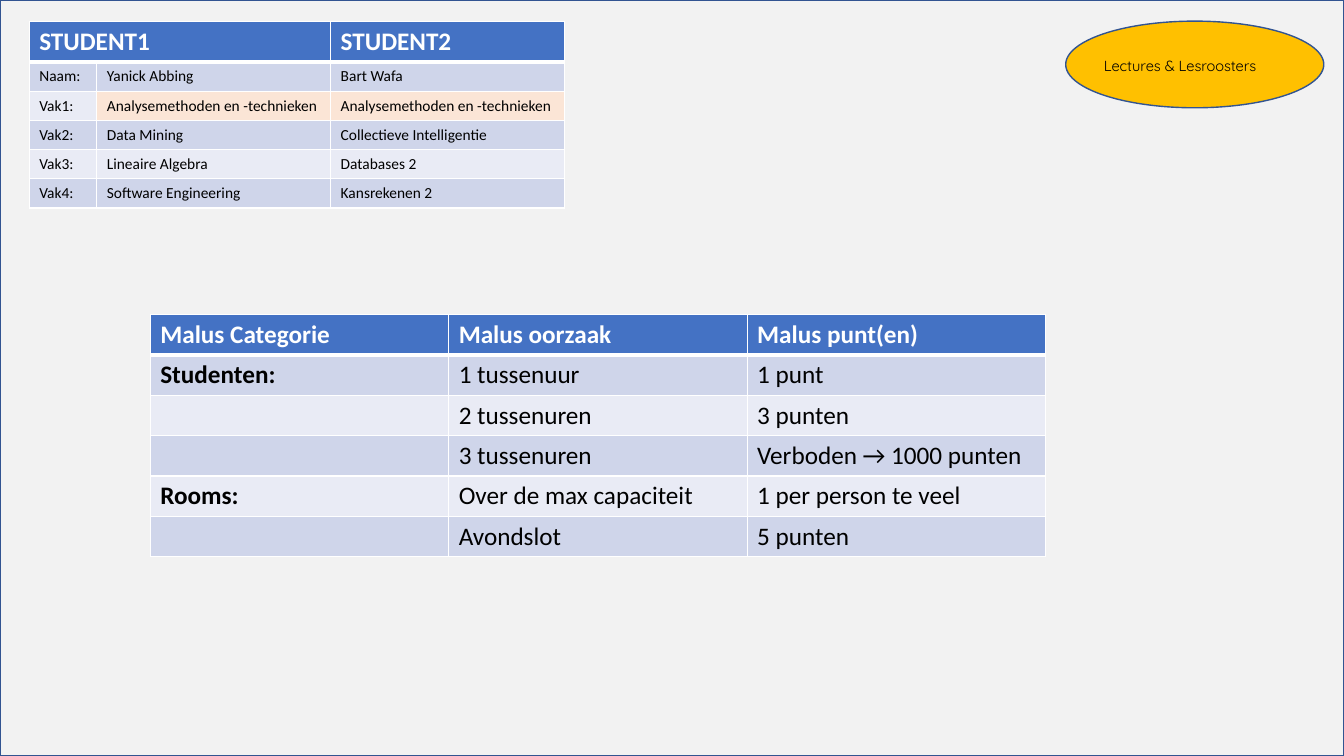
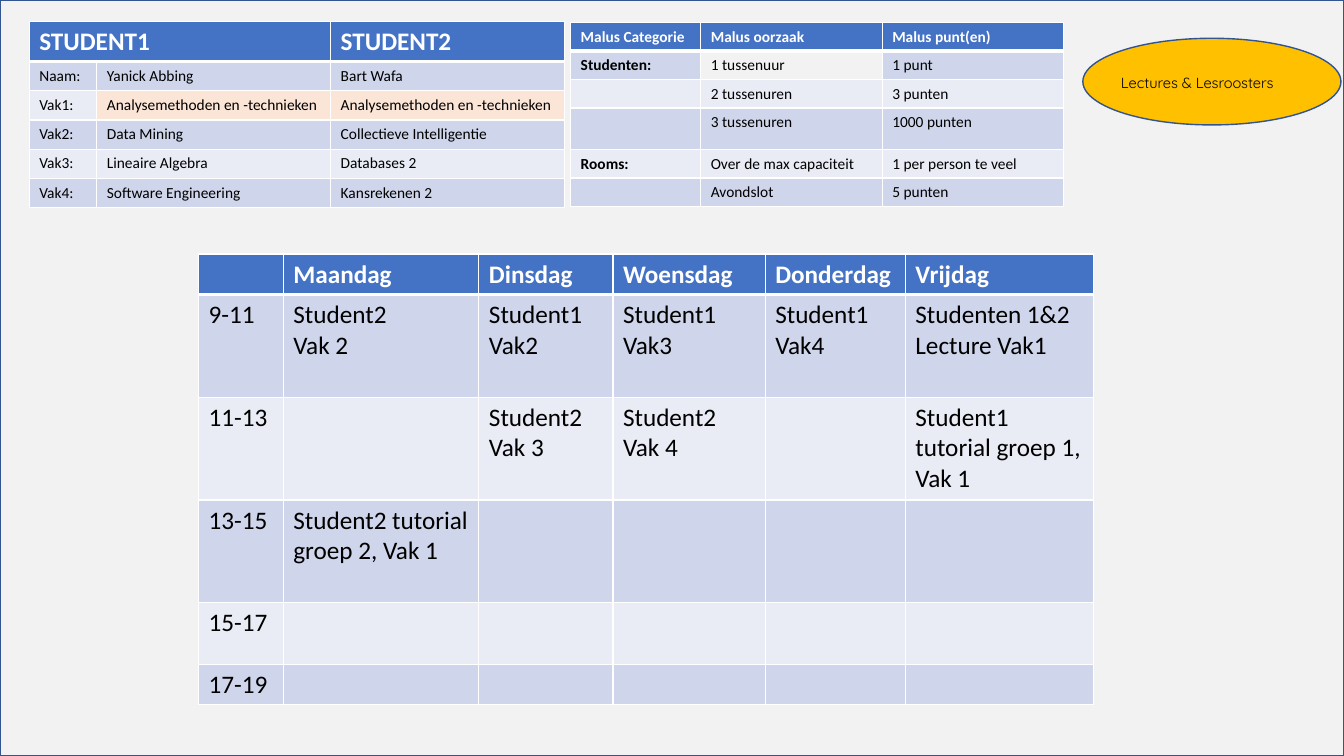
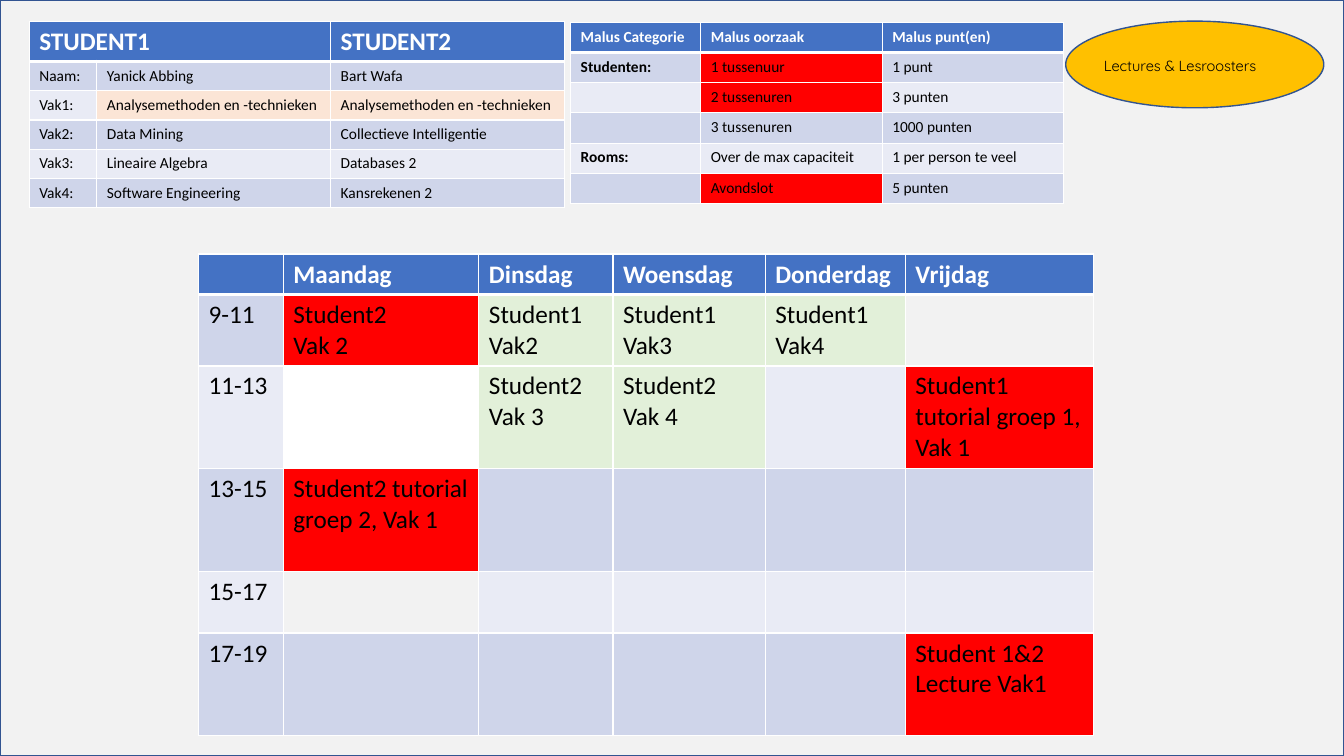
from lxml import etree
from pptx import Presentation
from pptx.dml.color import RGBColor
from pptx.enum.shapes import MSO_SHAPE
from pptx.oxml.ns import qn
from pptx.util import Emu, Pt

RECT, ELLIPSE = MSO_SHAPE.RECTANGLE, MSO_SHAPE.OVAL
PX = 9144  # 100 px to the inch
WIDTH, HEIGHT = 1333, 750
BLANK = 6

# Shared look
FONT, LABEL_FONT = "Calibri", "Quicksand"
PAGE, OUTLINE, GOLD = "F2F2F2", "325491", "FFC000"
HEADER, BANDS = "4472C4", ("CFD5EA", "E9EBF5")
WHITE, BLACK = "FFFFFF", "000000"
PEACH, RED, GREEN = "FBE5D6", "FF0000", "E2F0D9"
NO_FILL = None

# Table contents
SHARED_COURSE = "Analysemethoden en -technieken"
STUDENTS = [
    ["STUDENT1", "", "STUDENT2"],
    ["Naam:", "Yanick Abbing", "Bart Wafa"],
    ["Vak1:", SHARED_COURSE, SHARED_COURSE],
    ["Vak2:", "Data Mining", "Collectieve Intelligentie"],
    ["Vak3:", "Lineaire Algebra", "Databases 2"],
    ["Vak4:", "Software Engineering", "Kansrekenen 2"],
]
DAYS = ["", "Maandag", "Dinsdag", "Woensdag", "Donderdag", "Vrijdag"]


def malus_rows(forbidden):
    return [
        ["Malus Categorie", "Malus oorzaak", "Malus punt(en)"],
        ["Studenten:", "1 tussenuur", "1 punt"],
        ["", "2 tussenuren", "3 punten"],
        ["", "3 tussenuren", forbidden],
        ["Rooms:", "Over de max capaciteit", "1 per person te veel"],
        ["", "Avondslot", "5 punten"],
    ]


def timetable_rows(early_friday, late_friday):
    return [
        DAYS,
        ["9-11", "Student2\nVak 2", "Student1\nVak2", "Student1\nVak3",
         "Student1\nVak4", early_friday],
        ["11-13", "", "Student2\nVak 3", "Student2\nVak 4", "",
         "Student1 tutorial groep 1, Vak 1"],
        ["13-15", "Student2 tutorial groep 2, Vak 1", "", "", "", ""],
        ["15-17", "", "", "", "", ""],
        ["17-19", "", "", "", "", late_friday],
    ]


def px(n):
    return Emu(n * PX)


def rgb(value):
    return RGBColor.from_string(value)


def add_panel(s, kind, x, y, w, h, fill):
    sp = s.shapes.add_shape(kind, px(x), px(y), px(w), px(h))
    sp.shadow.inherit = False
    sp.fill.solid()
    sp.fill.fore_color.rgb = rgb(fill)
    sp.line.color.rgb = rgb(OUTLINE)
    sp.line.width = Pt(1)


def style_run(r, color, **font):
    r.font.color.rgb = rgb(color)
    for name, value in font.items():
        setattr(r.font, name, value)


def set_borders(cell, widths):
    tc_pr = cell._tc.get_or_add_tcPr()
    for side, width in widths.items():
        ln = etree.SubElement(tc_pr, qn("a:ln" + side), w=str(Pt(width)))
        fill = etree.SubElement(ln, qn("a:solidFill"))
        etree.SubElement(fill, qn("a:srgbClr"), val=WHITE)


def fill_cell(cell, fill):
    if fill is NO_FILL:
        cell.fill.background()
    else:
        cell.fill.solid()
        cell.fill.fore_color.rgb = rgb(fill)


def write_cell(cell, text, size, color, bold):
    tf = cell.text_frame
    for i, line in enumerate(text.split("\n")):
        p = tf.add_paragraph() if i else tf.paragraphs[0]
        if line:
            r = p.add_run()
            r.text = line
            style_run(r, color, name=FONT, size=Pt(size), bold=bold)
        else:
            # An empty cell keeps the text size, so its row does not grow
            p._p.get_or_add_endParaRPr().set("sz", str(size * 100))


def add_grid(s, x, y, cols, heights, rows, fills=None, size=18,
             header_size=18, bold_first=False):
    """Banded table; fills maps (row, column) to a colour of its own."""
    fills = fills or {}
    table = s.shapes.add_table(len(rows), len(cols), px(x), px(y),
                               px(sum(cols)), px(sum(heights))).table
    for column, w in zip(table.columns, cols):
        column.width = px(w)
    for i, (h, row) in enumerate(zip(heights, rows)):
        table.rows[i].height = px(h)
        head = i == 0
        band = HEADER if head else BANDS[(i - 1) % 2]
        borders = {"L": 1, "R": 1, "T": 3 if i == 1 else 1,
                   "B": 3 if head else 1}
        for j, text in enumerate(row):
            cell = table.cell(i, j)
            set_borders(cell, borders)
            fill_cell(cell, fills.get((i, j), band))
            write_cell(cell, text, header_size if head else size,
                       WHITE if head else BLACK,
                       head or (bold_first and j == 0))
    return table


def add_students(s):
    table = add_grid(s, 29, 21, [67, 232, 232], [40] + [29] * 5, STUDENTS,
                     {(2, 1): PEACH, (2, 2): PEACH}, size=11)
    table.cell(0, 0).merge(table.cell(0, 1))


def add_small_malus(s, heights, fills):
    add_grid(s, 566, 22, [129, 180, 180], heights, malus_rows("1000 punten"),
             fills, size=11, header_size=11, bold_first=True)


def add_timetable(s, heights, rows, fills=None):
    add_grid(s, 197, 252, [84, 194, 133, 151, 139, 187], heights, rows, fills)


def add_label(s, x, y):
    add_panel(s, ELLIPSE, x, y, 256, 86, GOLD)
    tf = s.shapes.add_textbox(px(x + 28), px(y + 32), px(200), px(22)).text_frame
    tf.word_wrap = True
    p = tf.paragraphs[0]
    p.line_spacing = 0.9
    r = p.add_run()
    r.text = "Lectures & Lesroosters"
    style_run(r, BLACK, name=LABEL_FONT, size=Pt(10.5))


def new_slide(prs, label_x=1057, label_y=21):
    s = prs.slides.add_slide(prs.slide_layouts[BLANK])
    add_panel(s, RECT, 0, 0, WIDTH, HEIGHT, PAGE)
    add_students(s)
    add_label(s, label_x, label_y)
    return s


def main():
    prs = Presentation()
    prs.slide_width, prs.slide_height = px(WIDTH), px(HEIGHT)

    # Malus points
    s = new_slide(prs)
    add_grid(s, 149, 312, [296] * 3, [40] * 6,
             malus_rows("Verboden → 1000 punten"), bold_first=True)

    # First timetable
    s = new_slide(prs, 1074, 38)
    add_timetable(s, [40, 102, 102, 102, 61, 40],
                  timetable_rows("Studenten 1&2\nLecture Vak1", ""))
    add_small_malus(s, [28, 28, 28, 41, 28, 28], {(1, 1): NO_FILL})

    # Timetable with malus points marked
    s = new_slide(prs)
    marks = {(1, 1): RED, (2, 5): RED, (3, 1): RED, (5, 5): RED,
             (1, 5): NO_FILL, (2, 1): WHITE, (4, 1): NO_FILL}
    marks.update({cell: GREEN for cell in
                  [(1, 2), (1, 3), (1, 4), (2, 2), (2, 3)]})
    add_timetable(s, [40, 71, 102, 102, 61, 102],
                  timetable_rows("", "Student 1&2\nLecture Vak1"), marks)
    add_small_malus(s, [30] * 6, {(i, 1): RED for i in (1, 2, 5)})

    prs.save("out.pptx")


if __name__ == "__main__":
    main()
